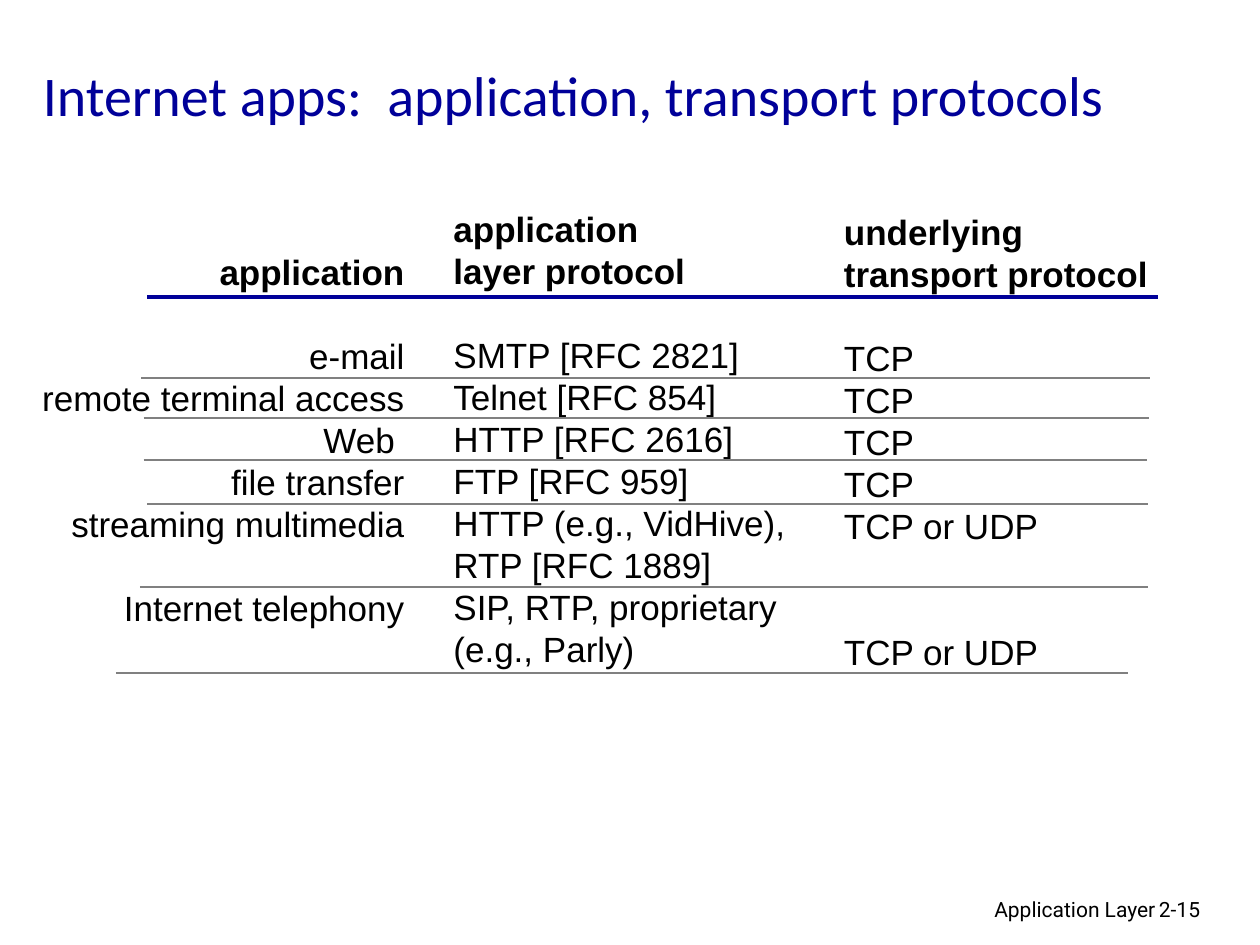
from pptx import Presentation
from pptx.dml.color import RGBColor
from pptx.enum.shapes import MSO_CONNECTOR as Conn
from pptx.enum.text import MSO_ANCHOR as Anchor, PP_ALIGN as Align
from pptx.oxml.ns import qn
from pptx.util import Inches, Pt
from lxml import etree

NAVY = RGBColor(0x00, 0x00, 0x99)
GRAY = RGBColor(0x80, 0x80, 0x80)
BLACK = RGBColor(0x00, 0x00, 0x00)
ROW = 24  # height of one table row, in points


class Page:
    def __init__(self, deck):
        self.slide = deck.slides.add_slide(deck.slide_layouts[5])

    def style(self, para, font, size, color, bold=False, align=Align.LEFT):
        para.alignment = align
        for run in para.runs:
            run.font.name = font
            run.font.size = Pt(size)
            run.font.bold = bold
            run.font.color.rgb = color

    def title(self, text, x, y, w, h):
        shape = self.slide.shapes.title
        shape.left, shape.top = Inches(x), Inches(y)
        shape.width, shape.height = Inches(w), Inches(h)
        frame = shape.text_frame
        frame.text = text
        frame.word_wrap = True
        frame.vertical_anchor = Anchor.MIDDLE
        self.style(frame.paragraphs[0], "Calibri", 32, NAVY)

    def box(self, text, x, y, w, h):
        shape = self.slide.shapes.add_textbox(
            Inches(x), Inches(y), Inches(w), Inches(h))
        frame = shape.text_frame
        frame.word_wrap = True
        frame.text = text
        return frame

    def note(self, text, x, w, align=Align.LEFT):
        frame = self.box(text, x, 7.07, w, 0.3)
        self.style(frame.paragraphs[0], "Roboto", 12, BLACK, align=align)

    def column(self, head, rows, gaps, place, align=Align.LEFT):
        """Bold head lines, then rows; gaps maps a row to empty lines after it."""
        frame = self.box("\n".join(head + rows), *place)
        for i, para in enumerate(frame.paragraphs):
            row = i - len(head)
            self.style(para, "Arial", 20, BLACK, row < 0, align)
            para.line_spacing = Pt(ROW)
            para.space_after = Pt(ROW * (1 if row == -1 else gaps.get(row, 0)))

    def rule(self, x1, x2, y, color=GRAY, width=1):
        line = self.slide.shapes.add_connector(
            Conn.STRAIGHT, Inches(x1), Inches(y), Inches(x2), Inches(y))
        line.line.color.rgb = color
        line.line.width = Pt(width)
        etree.SubElement(line._element.spPr, qn("a:effectLst"))


def main():
    deck = Presentation()
    deck.slide_width, deck.slide_height = Inches(10), Inches(7.5)
    page = Page(deck)

    # Footer and title
    page.note("Application Layer", 6.1, 3.17, Align.RIGHT)
    page.note("2-15", 9.1, 0.74)
    page.title("Internet apps:  application, transport protocols",
               0.24, 0.29, 9.57, 0.92)

    # Columns
    page.column(["application"],
                ["e-mail", "remote terminal access", "Web ", "file transfer",
                 "streaming multimedia", "Internet telephony"],
                {4: 1}, (0.18, 1.94, 3.13, 3.44), Align.RIGHT)
    page.column(["application", "layer protocol"],
                ["SMTP [RFC 2821]", "Telnet [RFC 854]", "HTTP [RFC 2616]",
                 "FTP [RFC 959]", "HTTP (e.g., VidHive),\vRTP [RFC 1889]",
                 "SIP, RTP, proprietary", "(e.g., Parly)"],
                {}, (3.5, 1.6, 3.09, 3.77))
    page.column(["underlying", "transport protocol"],
                ["TCP"] * 4 + ["TCP or UDP"] * 2,
                {4: 2}, (6.6, 1.62, 2.87, 3.77))

    # Rules under the head and under each row
    page.rule(1.17, 9.19, 2.36, NAVY, 2.25)
    for x1, x2, y in [(1.12, 9.13, 3), (1.14, 9.12, 3.32), (1.14, 9.1, 3.65),
                      (1.17, 9.11, 4), (1.11, 9.11, 4.66), (0.92, 8.95, 5.34)]:
        page.rule(x1, x2, y)

    deck.save("out.pptx")


if __name__ == "__main__":
    main()
